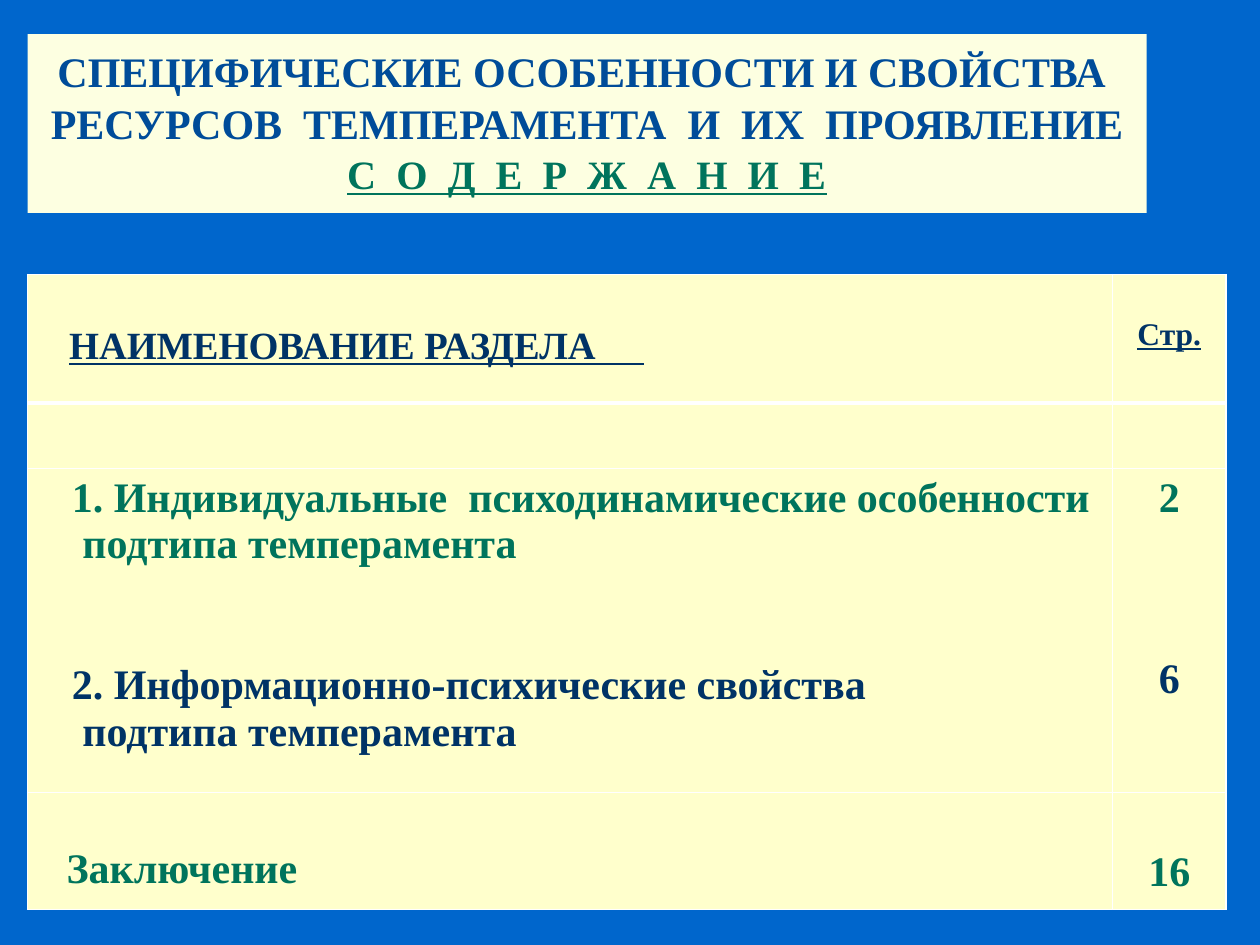
from lxml import etree
from pptx import Presentation
from pptx.dml.color import RGBColor
from pptx.enum.text import MSO_ANCHOR, MSO_AUTO_SIZE, PP_ALIGN
from pptx.oxml.ns import qn
from pptx.util import Inches, Pt

LEFT, CENTER = PP_ALIGN.LEFT, PP_ALIGN.CENTER
THEME = {
    "font": "Times New Roman",
    "background": "0066CC", "banner": "FDFFE1", "cell": "FFFFCC", "border": "FFFFFF",
    "blue": "004C99", "navy": "003366", "green": "00745C",
    "body": 24, "contents": 23, "header": 22, "page": 18,
}

HEADING = [
    ("СПЕЦИФИЧЕСКИЕ ОСОБЕННОСТИ И СВОЙСТВА ", "body", "blue", False),
    ("РЕСУРСОВ  ТЕМПЕРАМЕНТА  И  ИХ  ПРОЯВЛЕНИЕ", "body", "blue", False),
    ("С  О  Д  Е  Р  Ж  А  Н  И  Е", "contents", "green", True),
]

# Each line: text, size, colour, underline, indent in points, space before in points
CONTENTS = [
    [(0.40, [("НАИМЕНОВАНИЕ РАЗДЕЛА     ", "header", "navy", True, 16.5, 0)]),
     (0.34, [("Стр.", "page", "navy", True, 0, 0)])],
    [(0.05, []), (0.05, [])],
    [(0.05, [("1. Индивидуальные  психодинамические особенности", "body", "green", False, 18, 0),
             ("подтипа темперамента", "body", "green", False, 24, 0),
             ("2. Информационно-психические cвойства", "body", "navy", False, 18, 54),
             ("подтипа темперамента", "body", "navy", False, 24, 0)]),
     (0.05, [("2", "body", "green", False, 0, 0),
             ("6", "body", "navy", False, 0, 77)])],
    [(0.43, [("Заключение", "body", "green", False, 15, 0)]),
     (0.45, [("16", "body", "green", False, 0, 0)])],
]
COLUMN_WIDTHS = [8.61, 0.9]
ROW_HEIGHTS = [1.02, 0.52, 2.57, 0.93]
MARGIN = 0.22


def colour(name):
    return RGBColor.from_string(THEME[name])


def paint(part, name):
    part.fill.solid()
    part.fill.fore_color.rgb = colour(name)


def format_run(run, size, ink, underline):
    font = run.font
    font.name = THEME["font"]
    font.size = Pt(THEME[size])
    font.bold = True
    font.underline = underline
    font.color.rgb = colour(ink)


def set_borders(cell, bottom):
    properties = cell._tc.get_or_add_tcPr()
    widths = {"a:lnL": 1, "a:lnR": 1, "a:lnT": 1, "a:lnB": bottom}
    for position, (tag, width) in enumerate(widths.items()):
        line = etree.Element(qn(tag), w=str(Pt(width)))
        fill = etree.SubElement(line, qn("a:solidFill"))
        etree.SubElement(fill, qn("a:srgbClr"), val=THEME["border"])
        properties.insert(position, line)


def fill_cell(cell, top, lines, align):
    cell.margin_top = Inches(top)
    frame = cell.text_frame
    frame.text = "\n".join(line[0] for line in lines)
    for paragraph, (_, size, ink, underline, indent, before) in zip(frame.paragraphs, lines):
        paragraph.alignment = align
        paragraph.space_before = Pt(before)
        paragraph._p.get_or_add_pPr().set("marL", str(Pt(indent)))
        format_run(paragraph.runs[0], size, ink, underline)


deck = Presentation()
deck.slide_width, deck.slide_height = Inches(10), Inches(7.5)
slide = deck.slides.add_slide(deck.slide_layouts[5])
paint(slide.background, "background")

heading = slide.shapes.title
heading.left, heading.top = Inches(MARGIN), Inches(0.27)
heading.width, heading.height = Inches(8.88), Inches(1.42)
paint(heading, "banner")
frame = heading.text_frame
frame.auto_size = MSO_AUTO_SIZE.NONE
frame.word_wrap = True
frame.vertical_anchor = MSO_ANCHOR.TOP
frame.margin_top = Inches(0.08)
frame.text = "\v".join(line[0] for line in HEADING)
frame.paragraphs[0].alignment = CENTER
frame.paragraphs[0].line_spacing = 1.03
for run, (_, size, ink, underline) in zip(frame.paragraphs[0].runs, HEADING):
    format_run(run, size, ink, underline)

contents = slide.shapes.add_table(
    len(ROW_HEIGHTS), len(COLUMN_WIDTHS), Inches(MARGIN), Inches(2.18),
    Inches(sum(COLUMN_WIDTHS)), Inches(sum(ROW_HEIGHTS))).table
for column, width in zip(contents.columns, COLUMN_WIDTHS):
    column.width = Inches(width)
for row_index, (row, height, entries) in enumerate(zip(contents.rows, ROW_HEIGHTS, CONTENTS)):
    row.height = Inches(height)
    for cell, (top, lines), align in zip(row.cells, entries, (LEFT, CENTER)):
        paint(cell, "cell")
        set_borders(cell, 3 if row_index == 0 else 1)
        fill_cell(cell, top, lines, align)

deck.save("out.pptx")
